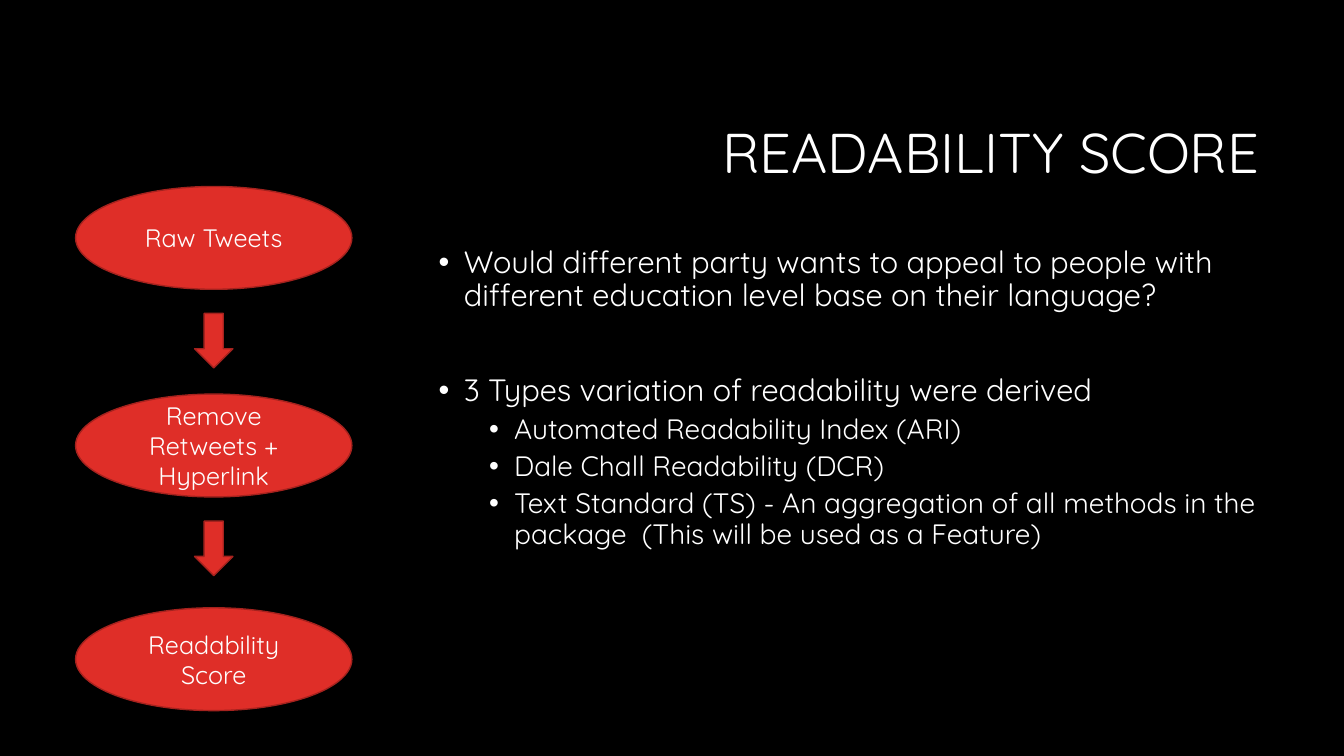
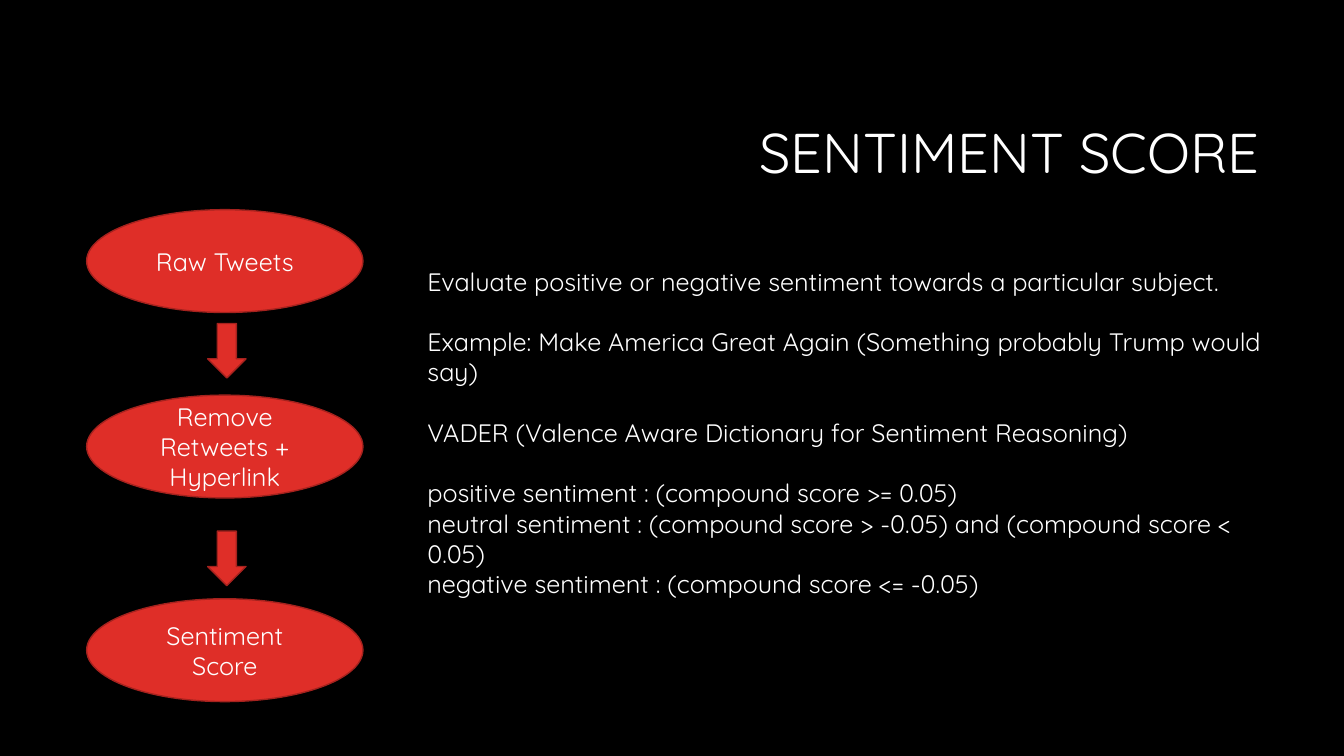
from dataclasses import dataclass
from typing import Any, NamedTuple

from lxml import etree
from pptx import Presentation
from pptx import util as u
from pptx.dml import color
from pptx.enum import shapes, text
from pptx.oxml import ns


@dataclass(frozen=True)
class Theme:
    back: color.RGBColor = color.RGBColor.from_string("000000")
    ink: color.RGBColor = color.RGBColor.from_string("FFFFFF")
    red: color.RGBColor = color.RGBColor.from_string("DF2E28")
    edge: color.RGBColor = color.RGBColor.from_string("A5221E")
    face: str = "Quicksand"
    title: int = 40
    point: int = 22
    sub: int = 20
    plain: int = 18


THEME = Theme()
MID = text.MSO_ANCHOR.MIDDLE
OVAL = shapes.MSO_SHAPE.OVAL
ARROW = shapes.MSO_SHAPE.DOWN_ARROW


class Box(NamedTuple):
    left: float
    top: float
    width: float
    height: float

    def span(self) -> dict[str, int]:
        return {name: u.Inches(size) for name, size in zip(self._fields, self)}


class Line(NamedTuple):
    words: str
    size: int
    gap: float = 0
    level: int = 0


class Step(NamedTuple):
    words: str
    top: float


class Flow(NamedTuple):
    left: float
    steps: list[Step]
    shaft: float
    drops: list[float]


TITLE = Box(3.17, 0.84, 9.42, 1.41)
BODY = Box(4.25, 2.4, 8.34, 4.4)
NOTE = Box(4.14, 2.59, 8.55, 3.43)
START, CLEAN = "Raw Tweets", "Remove Retweets + Hyperlink"

READ_FLOW = Flow(
    0.75,
    [Step(START, 1.85), Step(CLEAN, 3.91), Step("Readability Score", 6.03)],
    1.93,
    [3.11, 5.17],
)
MOOD_FLOW = Flow(
    0.86,
    [Step(START, 2.08), Step(CLEAN, 3.92), Step("Sentiment Score", 5.94)],
    2.06,
    [3.21, 5.27],
)

READ_LINES = [
    Line("Would different party wants to appeal to people with different "
         "education level base on their language?", THEME.point),
    Line("3 Types variation of readability were derived", THEME.point, 44),
    Line("Automated Readability Index (ARI)", THEME.sub, 5, 1),
    Line("Dale Chall Readability (DCR)", THEME.sub, 5, 1),
    Line("Text Standard (TS) - An aggregation of all methods in the package  "
         "(This will be used as a Feature)", THEME.sub, 5, 1),
]
BREAK = 21.6
MOOD_LINES = [
    Line("Evaluate positive or negative sentiment towards a particular subject.",
         THEME.plain),
    Line("Example: Make America Great Again (Something probably Trump would say)",
         THEME.plain, BREAK),
    Line("VADER (Valence Aware Dictionary for Sentiment Reasoning)",
         THEME.plain, BREAK),
    Line("positive sentiment : (compound score >= 0.05)", THEME.plain, BREAK),
    Line("neutral sentiment : (compound score > -0.05) and "
         "(compound score < 0.05)", THEME.plain),
    Line("negative sentiment : (compound score <= -0.05)", THEME.plain),
]


def put(thing: Any, values: dict[str, Any]) -> None:
    for name, value in values.items():
        setattr(thing, name, value)


def write(para: Any, words: str, size: int, form: dict[str, Any]) -> None:
    put(para, form)
    run = para.add_run()
    run.text = words
    put(run.font, {"name": THEME.face, "size": u.Pt(size)})
    run.font.color.rgb = THEME.ink


def mark(para: Any, level: int) -> None:
    props = para._p.get_or_add_pPr()
    props.set("marL", str(u.Inches(0.25 + 0.5 * level)))
    props.set("indent", str(u.Inches(-0.25)))
    etree.SubElement(props, ns.qn("a:buFont")).set("typeface", "Arial")
    etree.SubElement(props, ns.qn("a:buChar")).set("char", "•")


def fill(frame: Any, lines: list[Line], lead: float, dots: bool) -> None:
    put(frame, {"word_wrap": True, "auto_size": text.MSO_AUTO_SIZE.NONE})
    for rank, line in enumerate(lines):
        para = frame.add_paragraph() if rank else frame.paragraphs[0]
        if dots:
            mark(para, line.level)
        form = {"level": line.level, "line_spacing": lead,
                "space_before": u.Pt(line.gap)}
        write(para, line.words, line.size, form)


def head(slide: Any, words: str) -> None:
    title = slide.shapes.title
    put(title, TITLE.span())
    put(title.text_frame, {"vertical_anchor": MID, "word_wrap": True})
    form = {"alignment": text.PP_ALIGN.RIGHT, "line_spacing": 0.9}
    write(title.text_frame.paragraphs[0], words, THEME.title, form)


def draw(slide: Any, kind: Any, box: Box) -> Any:
    shape = slide.shapes.add_shape(kind, **box.span())
    shape.shadow.inherit = False
    shape.fill.solid()
    shape.fill.fore_color.rgb = THEME.red
    shape.line.color.rgb = THEME.edge
    shape.line.width = u.Pt(1)
    return shape


def chain(slide: Any, flow: Flow) -> None:
    for step in flow.steps:
        oval = draw(slide, OVAL, Box(flow.left, step.top, 2.74, 1.02))
        put(oval.text_frame, {"vertical_anchor": MID, "word_wrap": True})
        write(oval.text_frame.paragraphs[0], step.words, THEME.plain,
              {"alignment": text.PP_ALIGN.CENTER})
    for top in flow.drops:
        draw(slide, ARROW, Box(flow.shaft, top, 0.38, 0.54))


def start(deck: Any, layout: str, title: str, flow: Flow) -> Any:
    slide = deck.slides.add_slide(deck.slide_layouts.get_by_name(layout))
    head(slide, title)
    chain(slide, flow)
    return slide


def main() -> None:
    deck = Presentation()
    put(deck, {"slide_width": u.Inches(13.33), "slide_height": u.Inches(7.5)})
    ground = deck.slide_master.background.fill
    ground.solid()
    ground.fore_color.rgb = THEME.back

    read = start(deck, "Title and Content", "READABILITY SCORE", READ_FLOW)
    body = read.placeholders[1]
    put(body, BODY.span())
    fill(body.text_frame, READ_LINES, 0.9, True)

    mood = start(deck, "Title Only", "SENTIMENT SCORE", MOOD_FLOW)
    note = mood.shapes.add_textbox(**NOTE.span())
    fill(note.text_frame, MOOD_LINES, 1.0, False)

    deck.save("out.pptx")


if __name__ == "__main__":
    main()
